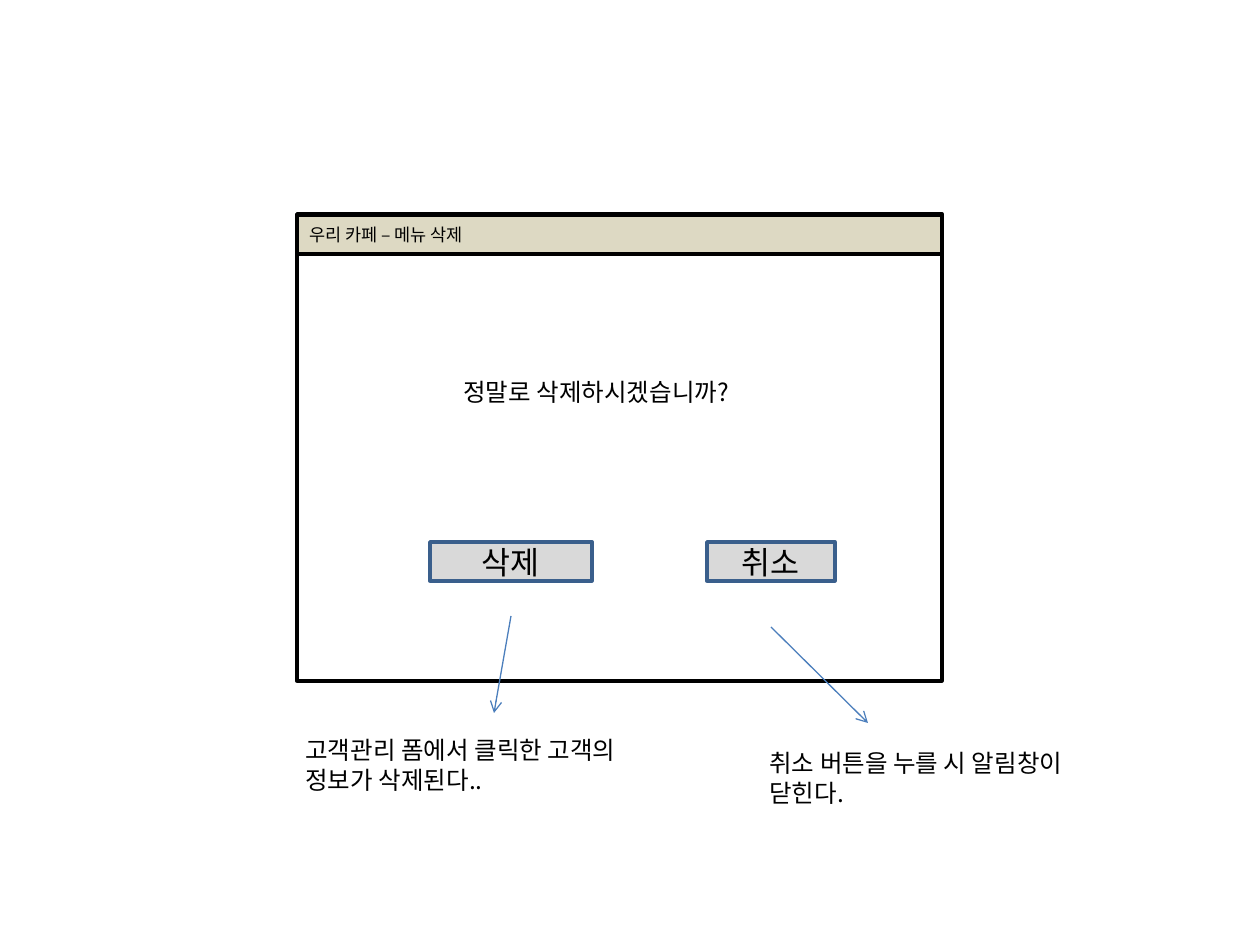
from lxml import etree
from pptx import Presentation
from pptx.dml.color import RGBColor
from pptx.enum.shapes import MSO_CONNECTOR, MSO_SHAPE
from pptx.enum.text import MSO_ANCHOR, PP_ALIGN
from pptx.oxml.ns import qn
from pptx.util import Pt

RECT = MSO_SHAPE.RECTANGLE
LINE = MSO_CONNECTOR.STRAIGHT
MID = MSO_ANCHOR.MIDDLE
LEFT, MIDDLE = PP_ALIGN.LEFT, PP_ALIGN.CENTER
FONT = "Noto Sans CJK KR"
SCALE = 914400 / 126


def color(code):
    return RGBColor.from_string(code)


def write(shape, words, size, align):
    frame = shape.text_frame
    frame.word_wrap = True
    frame.text = words
    para = frame.paragraphs[0]
    para.alignment = align
    font = para.runs[0].font
    font.size = Pt(size)
    font.name = FONT
    font.color.rgb = color("000000")
    east = etree.SubElement(para.runs[0]._r.get_or_add_rPr(), qn("a:ea"))
    east.set("typeface", FONT)


deck = Presentation()
deck.slide_width, deck.slide_height = round(1260 * SCALE), round(945 * SCALE)
slide = deck.slides.add_slide(deck.slide_layouts[6])
shapes = slide.shapes

# Dialog window, title bar and buttons
boxes = [
    ((297, 214, 645, 467), "FFFFFF", "000000", "", 10, LEFT),
    ((297, 215, 645, 39), "DDD9C3", "000000", "우리 카페 – 메뉴 삭제", 10, LEFT),
    ((430, 542, 162, 39), "D9D9D9", "3A5F8C", "삭제", 18, MIDDLE),
    ((707, 542, 128, 39), "D9D9D9", "3A5F8C", "취소", 18, MIDDLE),
]
for place, fill, edge, words, size, align in boxes:
    box = shapes.add_shape(RECT, *[round(n * SCALE) for n in place])
    box.shadow.inherit = False
    box.fill.solid()
    box.fill.fore_color.rgb = color(fill)
    box.line.color.rgb = color(edge)
    box.line.width = Pt(2)
    if words:
        write(box, words, size, align)
        box.text_frame.vertical_anchor = MID

# Question and notes
notes = [
    ((451, 371, 370, 43), "정말로 삭제하시겠습니까?"),
    ((757, 742, 370, 72), "취소 버튼을 누를 시 알림창이 닫힌다."),
    ((293, 729, 370, 72), "고객관리 폼에서 클릭한 고객의 정보가 삭제된다.."),
]
for place, words in notes:
    note = shapes.add_textbox(*[round(n * SCALE) for n in place])
    write(note, words, 14, LEFT)

# Arrows from the buttons to their notes
for ends in [(771, 627, 868, 723), (511, 616, 494, 713)]:
    arrow = shapes.add_connector(LINE, *[round(n * SCALE) for n in ends])
    arrow.line.color.rgb = color("4B7EBC")
    arrow.line.width = Pt(0.75)
    tip = etree.SubElement(arrow.line._get_or_add_ln(), qn("a:tailEnd"))
    tip.set("type", "arrow")
    etree.SubElement(arrow._element.spPr, qn("a:effectLst"))

deck.save("out.pptx")
